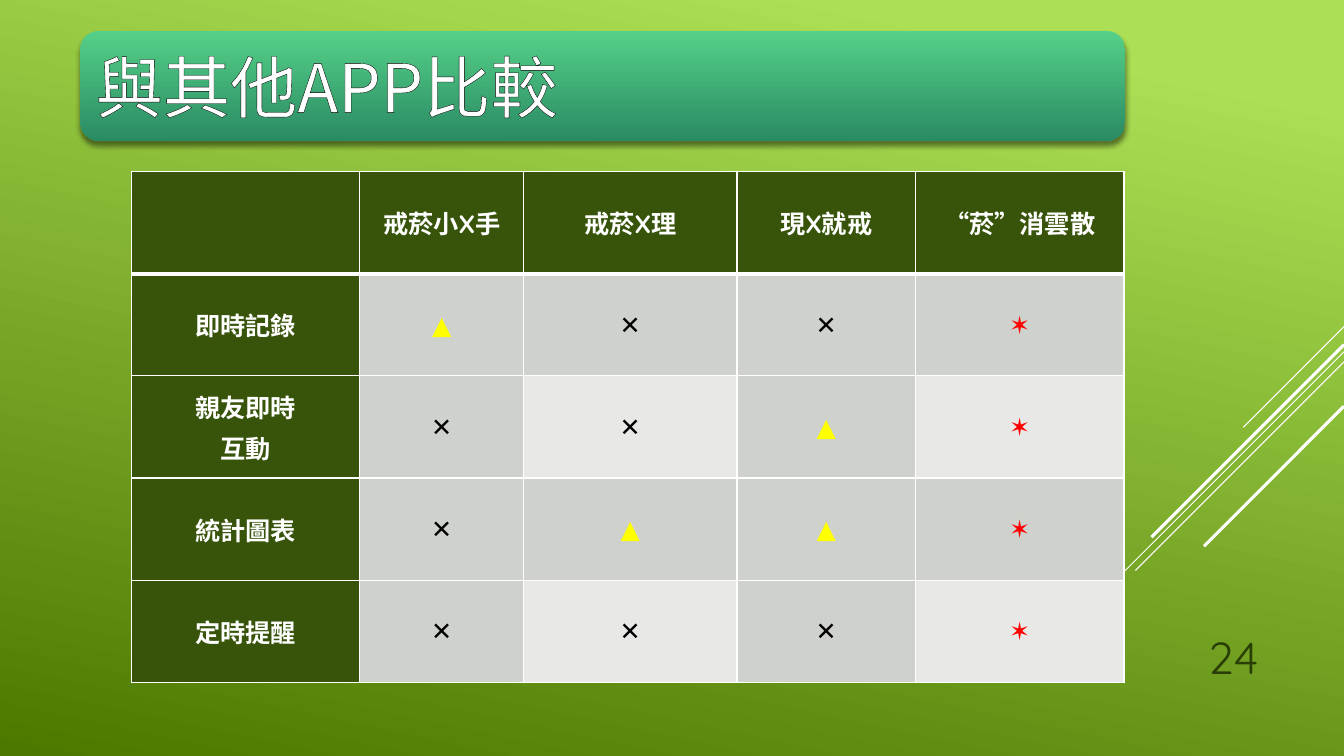
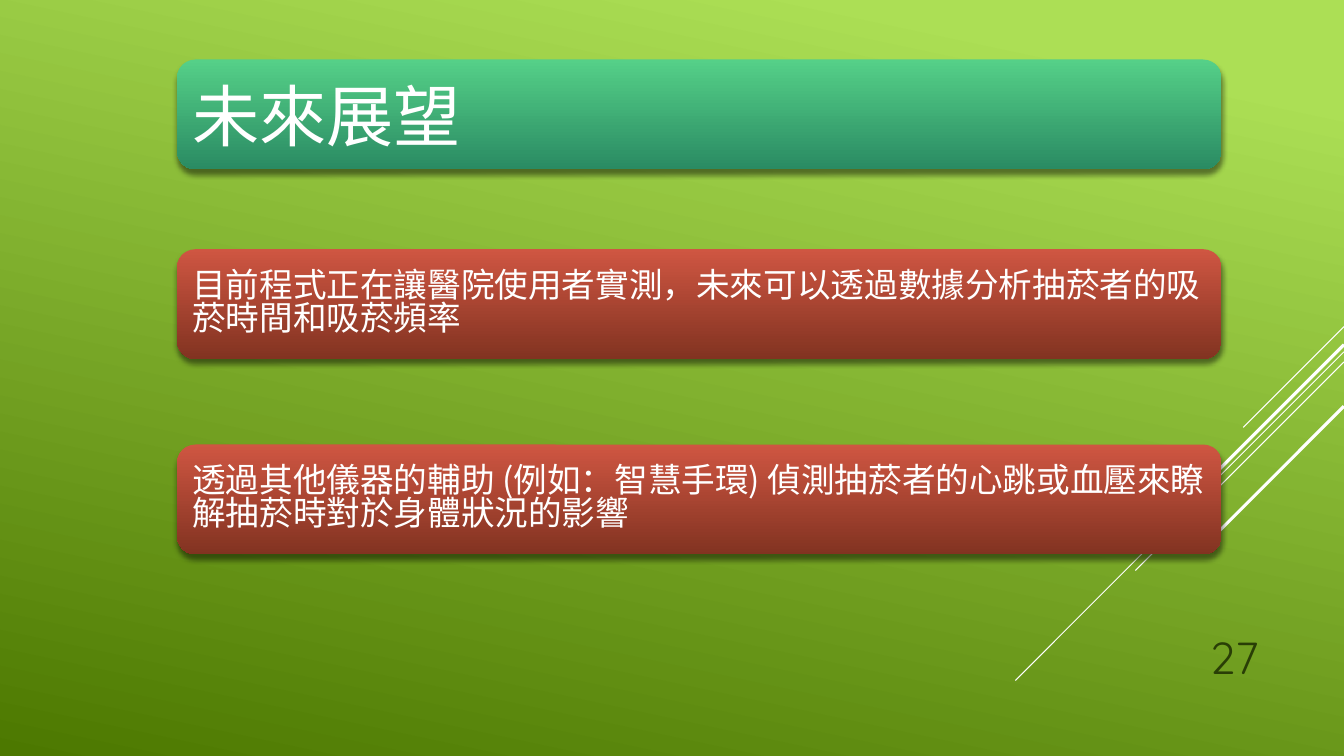
from lxml import etree
from pptx import Presentation
from pptx.dml.color import RGBColor
from pptx.enum import shapes, text
from pptx.oxml import parse_xml
from pptx.oxml.ns import nsdecls, qn
from pptx.util import Pt

CJK, LATIN = "Noto Sans CJK JP", "Quicksand"
WHITE, BLACK = "FFFFFF", "000000"
HEADER, BAND, PALE = "38540A", "CED1CC", "E8E9E7"
NUMBER = "293E06"
BACKDROP = ("ACDF55", "4C7800")
GREEN = ("55D088", "2A8B63")
RED = ("CF5642", "823321")
MARKS = {"▲": "FFFF00", "✕": BLACK, "✶": "FF0000"}

SLIDE_W, SLIDE_H = 960, 540
PANEL_W, PANEL_H = 746, 78.5
RAYS = [(233.3, 72, 0.75), (251.3, 234.7, 0.75), (258.5, 149, 0.75),
        (246.2, 137.5, 2.25), (290.2, 100, 2.25)]

COMPARISON = {
    "title": "與其他APP比較",
    "number": "24",
    "rows": [
        ["", "戒菸小X手", "戒菸X理", "現X就戒", "“菸”消雲散"],
        ["即時記錄", "▲", "✕", "✕", "✶"],
        ["親友即時\n互動", "✕", "✕", "▲", "✶"],
        ["統計圖表", "✕", "▲", "▲", "✶"],
        ["定時提醒", "✕", "✕", "✕", "✶"],
    ],
    "widths": [163, 117, 152.5, 127.5, 149],
    "row_height": 73,
}
OUTLOOK = {
    "title": "未來展望",
    "number": "27",
    "points": [
        "目前程式正在讓醫院使用者實測，未來可以透過數據分析抽菸者的吸菸時間和吸菸頻率",
        "透過其他儀器的輔助 (例如：智慧手環) 偵測抽菸者的心跳或血壓來瞭解抽菸時對於身體狀況的影響",
    ],
}


def rgb(value):
    return RGBColor.from_string(value)


def set_gradient(fill, colors, angle, start=0):
    fill.gradient()
    fill.gradient_angle = 360 - angle
    for stop, color, position in zip(fill.gradient_stops, colors, (start, 1)):
        stop.color.rgb = rgb(color)
        stop.position = position


def add_run(p, content, size, color, font=LATIN, bold=False):
    r = p.add_run()
    r.text = content
    r.font.size = Pt(size)
    r.font.bold = bold
    r.font.name = font
    r.font.color.rgb = rgb(color)
    etree.SubElement(r.font._element, qn("a:ea")).set("typeface", CJK)
    return r


def outline(r, color, width):
    r.font._element.insert(0, parse_xml(
        f'<a:ln {nsdecls("a")} w="{Pt(width)}"><a:solidFill>'
        f'<a:srgbClr val="{color}"/></a:solidFill></a:ln>'))


def add_panel(s, x, y, content, size, colors, spacing=1.0):
    sp = s.shapes.add_shape(shapes.MSO_SHAPE.ROUNDED_RECTANGLE,
                            Pt(x), Pt(y), Pt(PANEL_W), Pt(PANEL_H))
    set_gradient(sp.fill, colors, 90)
    sp.line.fill.background()
    sp._element.spPr.append(parse_xml(
        f'<a:effectLst {nsdecls("a")}><a:outerShdw blurRad="{Pt(4)}" dist="{Pt(3)}" '
        f'dir="5400000" rotWithShape="0"><a:srgbClr val="{BLACK}">'
        f'<a:alpha val="46000"/></a:srgbClr></a:outerShdw></a:effectLst>'))
    tf = sp.text_frame
    tf.word_wrap = True
    tf.vertical_anchor = text.MSO_ANCHOR.MIDDLE
    p = tf.paragraphs[0]
    p.alignment = text.PP_ALIGN.LEFT
    p.line_spacing = spacing
    return add_run(p, content, size, WHITE, CJK)


def add_base(prs, number):
    s = prs.slides.add_slide(prs.slide_layouts[6])
    set_gradient(s.background.fill, BACKDROP, 102, 0.1)
    for y, reach, width in RAYS:
        ray = s.shapes.add_connector(shapes.MSO_CONNECTOR.STRAIGHT, Pt(SLIDE_W), Pt(y),
                                     Pt(SLIDE_W - reach), Pt(y + reach))
        ray.line.color.rgb = rgb(WHITE)
        ray.line.width = Pt(width)
        etree.SubElement(ray._element.spPr, qn("a:effectLst"))
    tf = s.shapes.add_textbox(Pt(816), Pt(439), Pt(90), Pt(52.5)).text_frame
    tf.word_wrap = True
    tf.vertical_anchor = text.MSO_ANCHOR.BOTTOM
    tf.paragraphs[0].alignment = text.PP_ALIGN.RIGHT
    add_run(tf.paragraphs[0], number, 32, NUMBER)
    return s


def set_borders(cell, widths):
    tcPr = cell._tc.get_or_add_tcPr()
    for i, (side, width) in enumerate(zip("LRTB", widths)):
        tcPr.insert(i, parse_xml(
            f'<a:ln{side} {nsdecls("a")} w="{Pt(width)}"><a:solidFill>'
            f'<a:srgbClr val="{WHITE}"/></a:solidFill></a:ln{side}>'))


def fill_cell(cell, row, col, content):
    is_header = row == 0 or col == 0
    is_pale = row % 2 == 0 and col % 2 == 0
    cell.fill.solid()
    cell.fill.fore_color.rgb = rgb(HEADER if is_header else PALE if is_pale else BAND)
    cell.vertical_anchor = text.MSO_ANCHOR.MIDDLE
    cell.margin_left = cell.margin_right = Pt(5)
    cell.margin_top = cell.margin_bottom = 0
    tf = cell.text_frame
    for i, line in enumerate(content.split("\n") if content else []):
        p = tf.add_paragraph() if i else tf.paragraphs[0]
        p.alignment = text.PP_ALIGN.CENTER
        if i:
            p.space_before = Pt(3)
        add_run(p, line, 18, MARKS.get(line, WHITE), bold=is_header)
    set_borders(cell, (1, 1, 3 if row == 1 else 1, 3 if row == 0 else 1))


def add_comparison(prs, data):
    s = add_base(prs, data["number"])
    outline(add_panel(s, 57.5, 22, data["title"], 48, GREEN), BLACK, 0.75)
    rows, widths, height = data["rows"], data["widths"], data["row_height"]
    table = s.shapes.add_table(len(rows), len(widths), Pt(94), Pt(122.5),
                               Pt(sum(widths)), Pt(height * len(rows))).table
    table.first_row = table.horz_banding = False
    for column, width in zip(table.columns, widths):
        column.width = Pt(width)
    for i, row in enumerate(rows):
        table.rows[i].height = Pt(height)
        for j, content in enumerate(row):
            fill_cell(table.cell(i, j), i, j, content)


def add_outlook(prs, data):
    s = add_base(prs, data["number"])
    left = 126.5
    add_panel(s, left, 42.5, data["title"], 48, GREEN)
    for i, point in enumerate(data["points"]):
        add_panel(s, left, 178 + 139.5 * i, point, 24, RED, 0.82)


def main():
    prs = Presentation()
    prs.slide_width, prs.slide_height = Pt(SLIDE_W), Pt(SLIDE_H)
    add_comparison(prs, COMPARISON)
    add_outlook(prs, OUTLOOK)
    prs.save("out.pptx")


if __name__ == "__main__":
    main()
